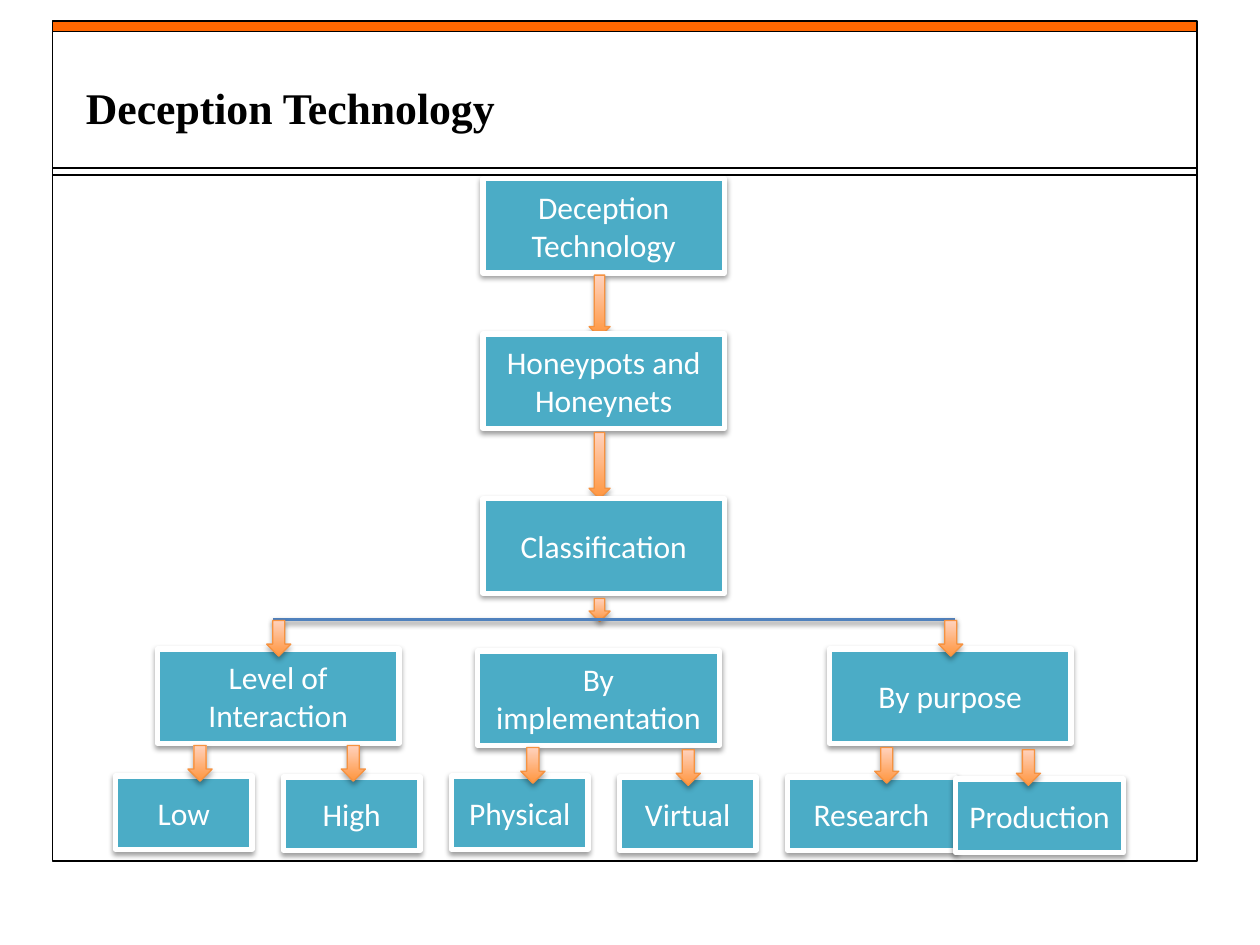
from lxml import etree
from pptx import Presentation
from pptx.dml.color import RGBColor
from pptx.enum.shapes import MSO_CONNECTOR, MSO_SHAPE
from pptx.enum.text import MSO_ANCHOR, PP_ALIGN
from pptx.oxml.ns import qn
from pptx.util import Inches, Pt

RECTANGLE, DOWN_ARROW = MSO_SHAPE.RECTANGLE, MSO_SHAPE.DOWN_ARROW
STRAIGHT = MSO_CONNECTOR.STRAIGHT
MIDDLE, CENTER = MSO_ANCHOR.MIDDLE, PP_ALIGN.CENTER
BLACK, WHITE, ORANGE, TEAL, BLUE = "000000", "FFFFFF", "FF6600", "4BACC6", "4F81BD"
ARROW_BOTTOM, ARROW_TOP, ARROW_EDGE = "FF953E", "FFD2BD", "F69240"

COLUMNS, ROWS = 120, 90  # grid cells of a twelfth of an inch
BOX_SIZE = (23, 9)
LEAF_HEIGHT, LEAF_STEP = 7, 16
ARROW_SIZE = (2.3, 3.4)


def grid(cells):
    return Inches(cells / 12)


def rgb(hex_code):
    return RGBColor.from_string(hex_code)


def add_shadow(item, opacity, distance=1.6):
    """Soft shadow that falls straight down."""
    properties = item._element.spPr
    effects = properties.find(qn("a:effectLst"))
    if effects is None:
        effects = etree.SubElement(properties, qn("a:effectLst"))
    shadow = etree.SubElement(
        effects, qn("a:outerShdw"), blurRad=str(Pt(3.1)), dist=str(Pt(distance)),
        dir="5400000", rotWithShape="0")
    color = etree.SubElement(shadow, qn("a:srgbClr"), val=BLACK)
    etree.SubElement(color, qn("a:alpha"), val=str(opacity * 1000))


def add_preset(slide, preset, box, edge, width, fill=None):
    shape = slide.shapes.add_shape(preset, *map(grid, box))
    shape.shadow.inherit = False
    if fill:
        shape.fill.solid()
        shape.fill.fore_color.rgb = rgb(fill)
    else:
        shape.fill.background()
    shape.line.color.rgb = rgb(edge)
    shape.line.width = Pt(width)
    return shape


def add_rule(slide, right, left, row, color, width):
    rule = slide.shapes.add_connector(
        STRAIGHT, grid(right), grid(row), grid(left), grid(row))
    rule.line.color.rgb = rgb(color)
    rule.line.width = Pt(width)
    etree.SubElement(rule._element.spPr, qn("a:effectLst"))
    return rule


def write(frame, lines, font_name, size, color, bold=False, align=None):
    frame.word_wrap = True
    frame.vertical_anchor = MIDDLE
    frame.text = lines
    for paragraph in frame.paragraphs:
        paragraph.alignment = align
        paragraph.font.name = font_name
        paragraph.font.size = Pt(size)
        paragraph.font.bold = bold
        paragraph.font.color.rgb = rgb(color)


def add_node(slide, label, box):
    node = add_preset(slide, RECTANGLE, box, WHITE, 3, TEAL)
    add_shadow(node, 38)
    write(node.text_frame, label, "Calibri", 18, WHITE, align=CENTER)


def add_arrow(slide, box):
    arrow = add_preset(slide, DOWN_ARROW, box, ARROW_EDGE, 0.75)
    arrow.fill.gradient()
    arrow.fill.gradient_angle = 90
    for stop, color in zip(arrow.fill.gradient_stops, (ARROW_BOTTOM, ARROW_TOP)):
        stop.color.rgb = rgb(color)
    add_shadow(arrow, 35, 1.8)


def add_header(slide, left, top, width, height):
    # Page frame and accent band
    add_preset(slide, RECTANGLE, (left, top + 1, width, height - 1), BLACK, 0.75)
    add_preset(slide, RECTANGLE, (left, top, width, 1), BLACK, 0.75, ORANGE)
    # Double rule under the title
    for row in (top + 14, top + 14.7):
        add_rule(slide, left + width, left, row, BLACK, 1)
    title = slide.shapes.add_textbox(
        *map(grid, (left + 2, top + 1.6, width, 13.1)))
    write(title.text_frame, "Deception Technology", "Times New Roman", 25, BLACK, True)


def add_hierarchy(slide, left, top):
    # Trunk: each box with the arrow below it (row, arrow row, arrow height)
    trunk = [("Deception\nTechnology", 0, 9.2, 5.9),
             ("Honeypots and Honeynets", 14.8, 24.2, 6.3),
             ("Classification", 30.5, 40, 2.2)]
    for label, row, arrow_row, arrow_height in trunk:
        add_node(slide, label, (left + 35, top + row, *BOX_SIZE))
        add_arrow(slide, (left + 45.1, top + arrow_row, 2, arrow_height))

    # Crossbar that splits into the outer branches
    crossbar = add_rule(slide, left + 80, left + 15, top + 42, BLUE, 2)
    add_shadow(crossbar, 38)

    # Branches
    branches = [("Level of Interaction", 4, 44.8), ("By implementation", 34.5, 45),
                ("By purpose", 68, 44.8)]
    for label, column, row in branches:
        add_node(slide, label, (left + column, top + row, *BOX_SIZE))
    for column in (14.4, 78.4):
        add_arrow(slide, (left + column, top + 42.1, *ARROW_SIZE))

    # Leaves: label, width, row, arrow column, arrow row
    leaves = [("Low", 13, 56.9, 6.9, 54), ("High", 13, 57, 21.5, 54),
              ("Physical", 13, 56.9, 38.6, 54.2), ("Virtual", 13, 57, 53.4, 54.4),
              ("Research", 16, 57, 72.3, 54.2), ("Production", 16, 57.2, 85.8, 54.4)]
    for index, (label, width, row, arrow_column, arrow_row) in enumerate(leaves):
        add_node(slide, label,
                 (left + index * LEAF_STEP, top + row, width, LEAF_HEIGHT))
        add_arrow(slide, (left + arrow_column, top + arrow_row, *ARROW_SIZE))


def main():
    presentation = Presentation()
    presentation.slide_width, presentation.slide_height = grid(COLUMNS), grid(ROWS)
    slide = presentation.slides.add_slide(presentation.slide_layouts[6])
    add_header(slide, 5, 2, 109, 80)
    add_hierarchy(slide, 11, 17)
    presentation.save("out.pptx")


if __name__ == "__main__":
    main()
